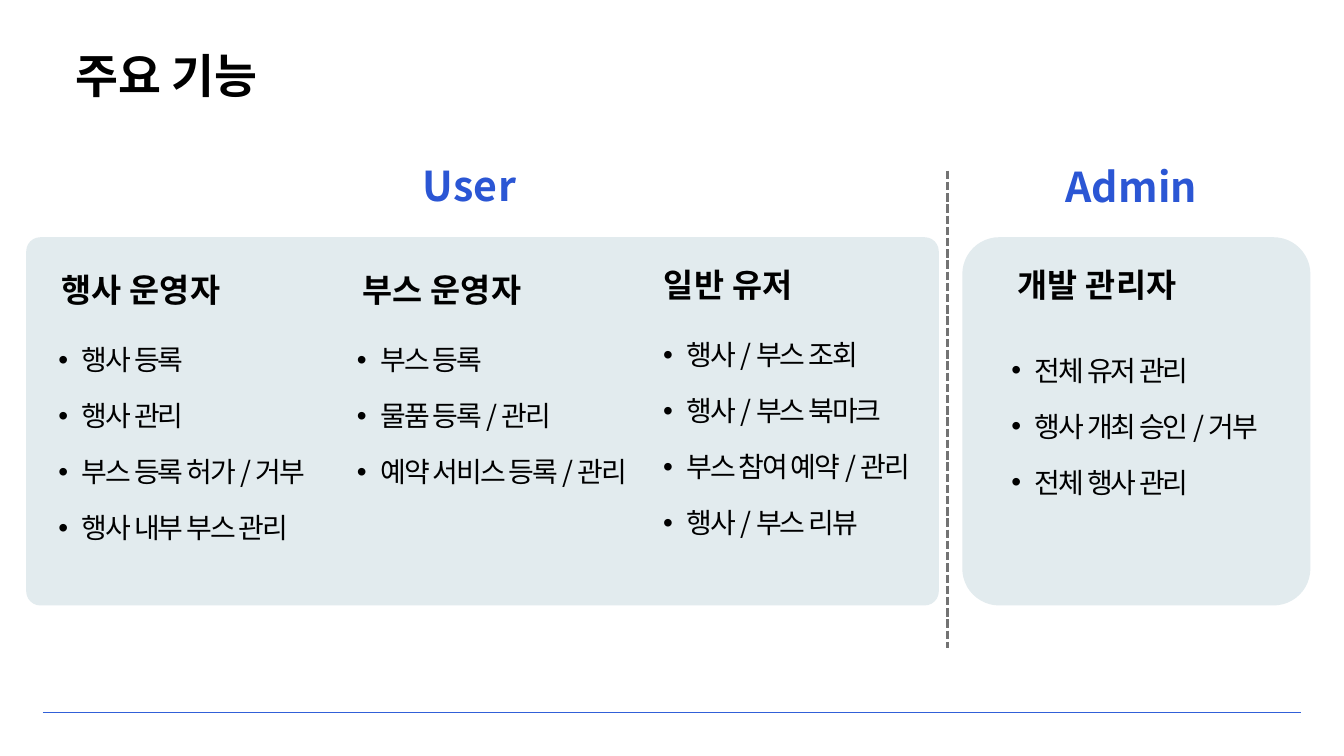
from lxml.etree import SubElement
from pptx import Presentation
from pptx.dml.color import RGBColor
from pptx.enum.dml import MSO_LINE
from pptx.enum.shapes import MSO_CONNECTOR, MSO_SHAPE
from pptx.enum.text import MSO_AUTO_SIZE, PP_ALIGN
from pptx.oxml.ns import qn
from pptx.util import Inches, Pt

FONT = "Noto Sans CJK KR"
BLACK = RGBColor(0x00, 0x00, 0x00)
BLUE = RGBColor(0x2B, 0x56, 0xD4)
RULE_BLUE = RGBColor(0x31, 0x60, 0xD8)
GRAY = RGBColor(0x73, 0x73, 0x73)
PANEL = RGBColor(0xE2, 0xEB, 0xEE)

PANEL_TOP, PANEL_HEIGHT = 3.53, 5.48

ROLES = [
    ("행사 운영자", (0.91, 4.07), (0.51, 4.77, 4.61),
     ["행사 등록", "행사 관리", "부스 등록 허가 / 거부", "행사 내부 부스 관리"]),
    ("부스 운영자", (5.39, 4.07), (4.95, 4.77, 4.93),
     ["부스 등록", "물품 등록 / 관리", "예약 서비스 등록 / 관리"]),
    ("일반 유저", (9.88, 3.99), (9.51, 4.69, 4.93),
     ["행사 / 부스 조회", "행사 / 부스 북마크", "부스 참여 예약 / 관리", "행사 / 부스 리뷰"]),
    ("개발 관리자", (15.14, 3.99), (14.69, 4.92, 4.68),
     ["전체 유저 관리", "행사 개최 승인 / 거부", "전체 행사 관리"]),
]


def make_bullet(paragraph):
    """Give a paragraph a hanging round bullet."""
    paragraph.level = 1
    properties = paragraph._p.get_or_add_pPr()
    properties.set("marL", str(Inches(0.71)))
    properties.set("indent", str(Inches(-0.35)))
    SubElement(properties, qn("a:buFont"), typeface="Arial")
    SubElement(properties, qn("a:buChar"), char="•")


def add_text(slide, lines, left, top, width, height, *, size, leading,
             color=BLACK, bold=True, spacing=0, align=PP_ALIGN.LEFT, bullets=False):
    """Add a text box with one paragraph for each line."""
    box = slide.shapes.add_textbox(Inches(left), Inches(top), Inches(width), Inches(height))
    frame = box.text_frame
    frame.word_wrap = True
    frame.auto_size = MSO_AUTO_SIZE.SHAPE_TO_FIT_TEXT
    frame.margin_left = frame.margin_right = frame.margin_top = frame.margin_bottom = 0
    for index, line in enumerate(lines):
        paragraph = frame.add_paragraph() if index else frame.paragraphs[0]
        paragraph.alignment = align
        paragraph.line_spacing = Pt(leading)
        if bullets:
            make_bullet(paragraph)
        run = paragraph.add_run()
        run.text = line
        run.font.size = Pt(size)
        run.font.bold = bold
        run.font.name = FONT
        run.font.color.rgb = color
        properties = run._r.get_or_add_rPr()
        properties.set("spc", str(round(spacing * 100)))
        SubElement(properties, qn("a:ea"), typeface=FONT)


def add_panel(slide, left, width, radius):
    """Add a rounded panel behind a group of roles."""
    panel = slide.shapes.add_shape(MSO_SHAPE.ROUNDED_RECTANGLE, Inches(left), Inches(PANEL_TOP),
                                   Inches(width), Inches(PANEL_HEIGHT))
    panel.adjustments[0] = radius / min(width, PANEL_HEIGHT)
    panel.shadow.inherit = False
    panel.fill.solid()
    panel.fill.fore_color.rgb = PANEL
    panel.line.fill.background()


def add_line(slide, start, end, color, weight, dash=None):
    """Add a straight line without a shadow."""
    line = slide.shapes.add_connector(MSO_CONNECTOR.STRAIGHT, *map(Inches, start + end))
    line.line.color.rgb = color
    line.line.width = Pt(weight)
    if dash:
        line.line.dash_style = dash
    SubElement(line._element.spPr, qn("a:effectLst"))


def add_group_title(slide, title, left, top, width):
    """Add the blue heading above a panel."""
    add_text(slide, [title], left, top, width, 0.58, size=44, leading=40.7,
             color=BLUE, spacing=0.3, align=PP_ALIGN.CENTER)


def add_role(slide, name, name_at, list_at, features):
    """Add a role name with its list of features."""
    add_text(slide, [name], *name_at, 4.2, 0.55, size=35, leading=38.5, spacing=0.3)
    add_text(slide, features, *list_at, len(features) * 0.83, size=30, leading=60,
             bold=False, spacing=-2, bullets=True)


def main():
    """Build the slide of main features and save it."""
    deck = Presentation()
    deck.slide_width, deck.slide_height = Inches(20), Inches(11.25)
    slide = deck.slides.add_slide(deck.slide_layouts[6])

    add_line(slide, (0.64, 10.6), (19.36, 10.6), RULE_BLUE, 1.5)
    add_text(slide, ["주요 기능"], 1.12, 0.77, 12.41, 0.77, size=50, leading=55)
    add_panel(slide, 14.32, 5.18, 0.55)
    add_panel(slide, 0.39, 13.58, 0.21)
    add_group_title(slide, "User", 5.81, 2.56, 2.35)
    add_group_title(slide, "Admin", 14.98, 2.57, 3.71)
    for role in ROLES:
        add_role(slide, *role)
    add_line(slide, (14.1, 2.54), (14.1, 9.64), GRAY, 3, MSO_LINE.SQUARE_DOT)

    deck.save("out.pptx")


if __name__ == "__main__":
    main()
